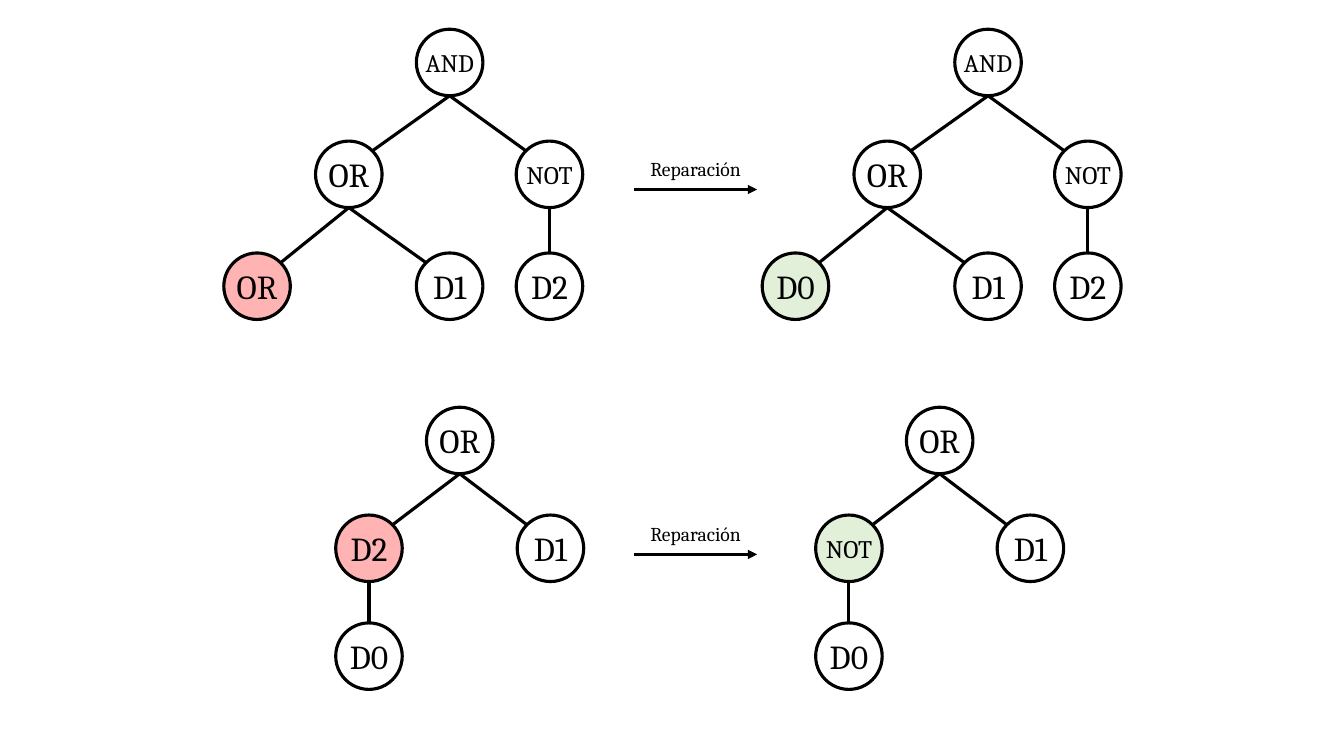
from math import sqrt

from lxml import etree
from pptx import Presentation
from pptx.dml.color import RGBColor
from pptx.enum.shapes import MSO_CONNECTOR, MSO_SHAPE
from pptx.enum.text import MSO_AUTO_SIZE, PP_ALIGN
from pptx.oxml.ns import qn
from pptx.util import Inches, Pt

BLACK = RGBColor(0x00, 0x00, 0x00)
WHITE = RGBColor(0xFF, 0xFF, 0xFF)
RED = RGBColor(0xFF, 0xB3, 0xB3)
GREEN = RGBColor(0xE2, 0xF0, 0xD9)

ELLIPSE = MSO_SHAPE.OVAL
STRAIGHT = MSO_CONNECTOR.STRAIGHT
CENTER = PP_ALIGN.CENTER
GROW = MSO_AUTO_SIZE.SHAPE_TO_FIT_TEXT

RADIUS = 0.33
LABEL_WIDTH = 0.78
LABEL_HEIGHTS = {24: 0.5, 18: 0.4, 14: 0.34}

AND_TREE = [
    ("AND", 4.46, 0.62, None),
    ("OR", 3.46, 1.73, 0),
    ("NOT", 5.45, 1.73, 0),
    ("", 2.55, 2.84, 1),
    ("D1", 4.46, 2.84, 1),
    ("D2", 5.45, 2.84, 2),
]
OR_TREE = [
    ("OR", 4.56, 4.37, None),
    ("", 3.66, 5.44, 0),
    ("D0", 3.66, 6.51, 1),
    ("D1", 5.46, 5.44, 0),
]
REPAIRS = [
    (AND_TREE, "OR", "D0", 5.34, 1.88),
    (OR_TREE, "D2", "NOT", 4.76, 5.5),
]


class TreeSlide:
    line_format = {"width": Pt(2.25)}
    font_format = {"name": "Cambria"}
    frame_format = {"word_wrap": True, "auto_size": GROW}

    def __init__(self, slide):
        self.slide = slide

    def apply(self, target, values):
        for name, value in values.items():
            setattr(target, name, value)

    def outline(self, line):
        line.color.rgb = BLACK
        self.apply(line, self.line_format)

    def label(self, shapes, text, x, y, size, width=LABEL_WIDTH):
        height = LABEL_HEIGHTS[size]
        box = shapes.add_textbox(Inches(x - width / 2), Inches(y - height / 2),
                                 Inches(width), Inches(height))
        self.apply(box.text_frame, self.frame_format)
        paragraph = box.text_frame.paragraphs[0]
        paragraph.alignment = CENTER
        run = paragraph.add_run()
        run.text = text
        self.apply(run.font, {**self.font_format, "size": Pt(size)})
        run.font.color.rgb = BLACK

    def node(self, shapes, text, x, y, fill):
        circle = shapes.add_shape(ELLIPSE, Inches(x - RADIUS), Inches(y - RADIUS),
                                  Inches(2 * RADIUS), Inches(2 * RADIUS))
        circle.shadow.inherit = False
        circle.fill.solid()
        circle.fill.fore_color.rgb = fill
        self.outline(circle.line)
        self.label(shapes, text, x, y, 18 if len(text) > 2 else 24)

    def connector(self, shapes, start, end):
        connector = shapes.add_connector(STRAIGHT, *map(Inches, start + end))
        self.outline(connector.line)
        etree.SubElement(connector._element.spPr, qn("a:effectLst"))
        return connector

    def edge(self, shapes, parent, child):
        parent_x, parent_y = parent
        child_x, child_y = child
        if parent_x == child_x:
            end = (child_x, child_y - RADIUS)
        else:
            diagonal = RADIUS / sqrt(2)
            side = diagonal if parent_x > child_x else -diagonal
            end = (child_x + side, child_y - diagonal)
        self.connector(shapes, (parent_x, parent_y + RADIUS), end)

    def tree(self, nodes, changed_label, changed_fill, offset=0):
        shapes = self.slide.shapes.add_group_shape().shapes
        centers = [(x + offset, y) for _, x, y, _ in nodes]
        for (text, _, _, _), (x, y) in zip(nodes, centers):
            self.node(shapes, text or changed_label, x, y, WHITE if text else changed_fill)
        for (_, _, _, parent), center in zip(nodes, centers):
            if parent is not None:
                self.edge(shapes, centers[parent], center)

    def arrow(self, text, y):
        shapes = self.slide.shapes
        connector = self.connector(shapes, (6.29, y), (7.51, y))
        etree.SubElement(connector.line._get_or_add_ln(), qn("a:tailEnd"), type="triangle")
        self.label(shapes, text, 6.9, y - 0.2, 14, width=1.34)


presentation = Presentation()
presentation.slide_width = Inches(13.33)
presentation.slide_height = Inches(7.5)
tree_slide = TreeSlide(presentation.slides.add_slide(presentation.slide_layouts[6]))

for nodes, faulty_label, repaired_label, offset, arrow_y in REPAIRS:
    tree_slide.tree(nodes, faulty_label, RED)
    tree_slide.tree(nodes, repaired_label, GREEN, offset)
    tree_slide.arrow("Reparación", arrow_y)

presentation.save("out.pptx")
